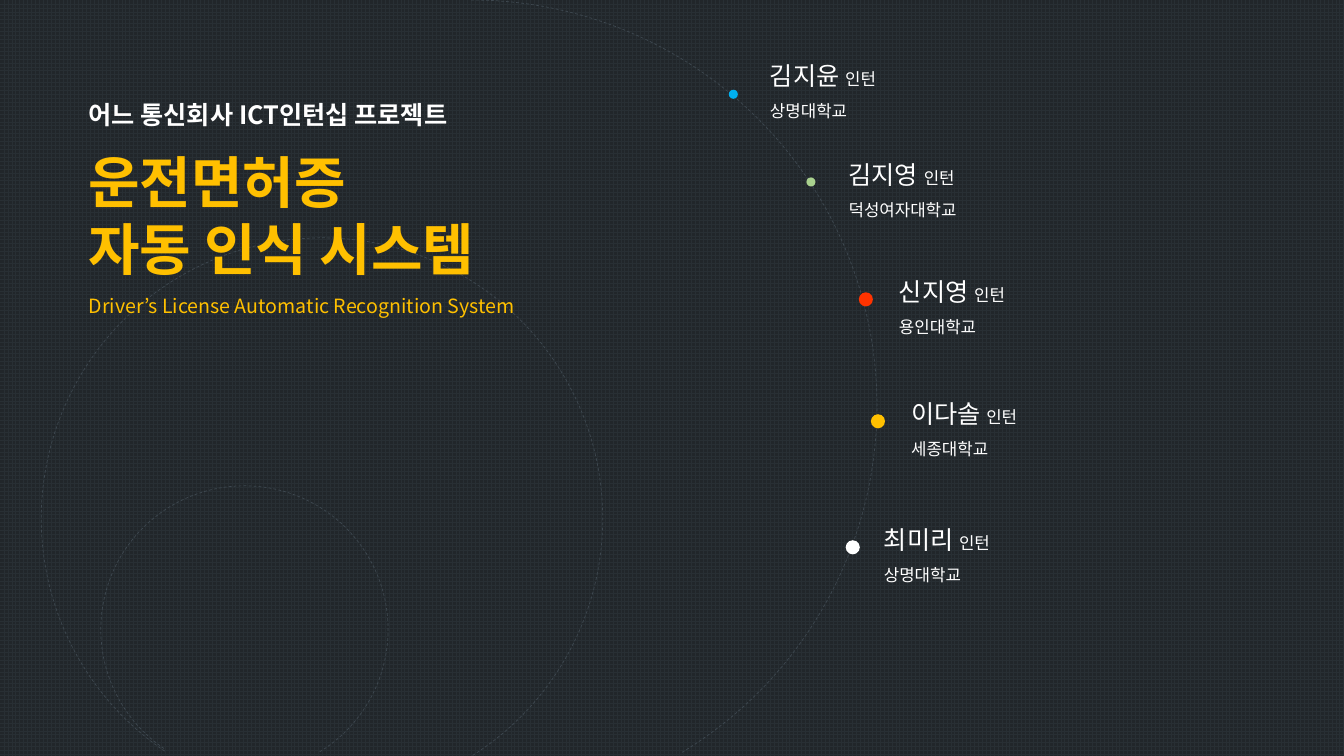
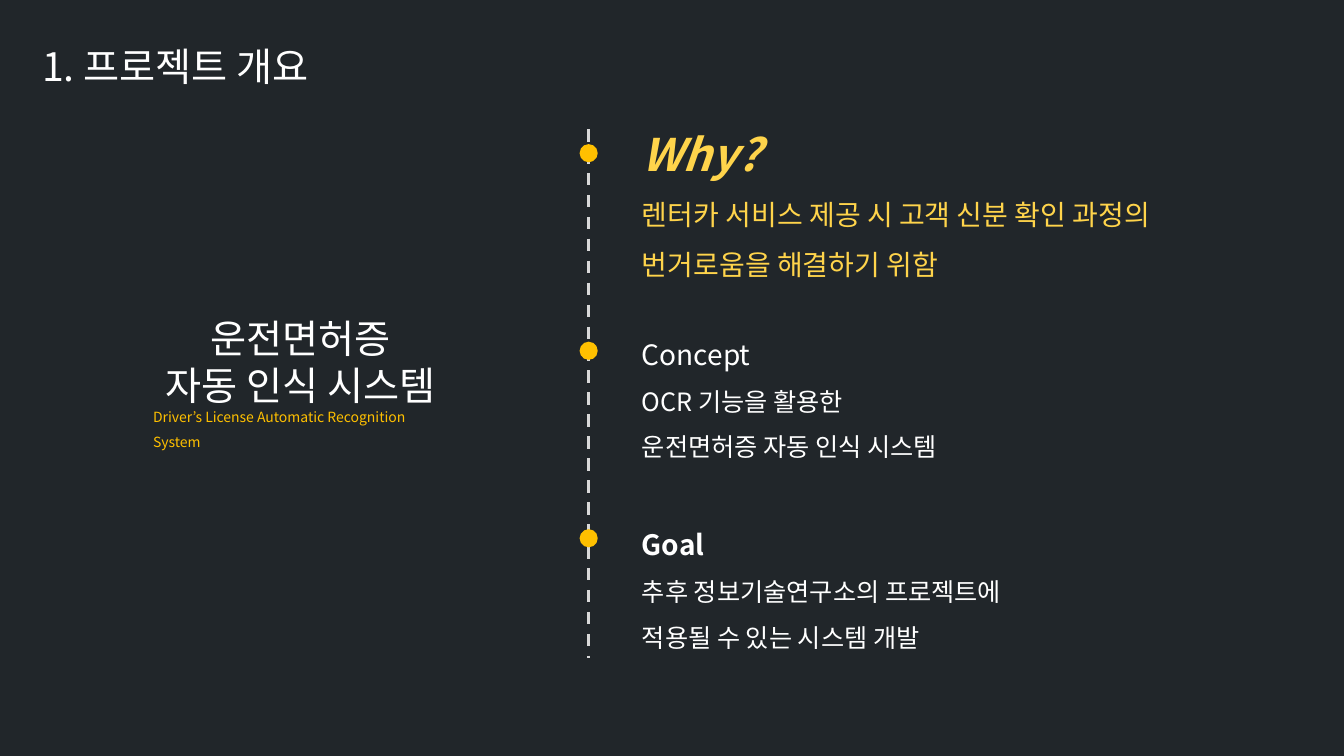
from dataclasses import dataclass

from pptx import Presentation
from pptx import util as u
from pptx.dml.color import RGBColor
from pptx.enum import dml, shapes, text
from pptx.oxml.ns import qn
from lxml import etree

# Grid of square cells covering the slide
COLUMNS, ROWS = 160, 90
CELL = u.Inches(7.5) / ROWS


@dataclass(frozen=True)
class Theme:
    font: str = "Noto Sans CJK KR"
    back: str = "21262A"
    grid: str = "282F34"
    orbit: str = "3E4850"
    axis: str = "D9D9D9"
    white: str = "FFFFFF"
    gold: str = "FFC000"
    pale_gold: str = "FFD44B"
    red: str = "FF3300"
    green: str = "A9D18E"
    blue: str = "00B0F0"
    title: float = 40
    why: float = 32
    heading: float = 28
    lead: float = 20
    body: float = 18
    gap: float = 16
    subtitle: float = 14
    small: float = 12
    caption: float = 10


THEME = Theme()


@dataclass
class Line:
    """One paragraph; extra holds (words, size) spans that follow the words."""
    words: str
    size: float
    color: str = THEME.white
    bold: bool = False
    italic: bool = False
    spacing: float = 1
    before: float = 0
    centred: bool = False
    extra: tuple = ()


def cells(*counts):
    return [u.Emu(round(count * CELL)) for count in counts]


def rgb(color):
    return RGBColor.from_string(color)


# Element builders
def add_page(deck, patterned=False):
    page = deck.slides.add_slide(deck.slide_layouts[6])
    fill = page.background.fill
    if patterned:
        fill.patterned()
        fill.pattern = dml.MSO_PATTERN.LARGE_GRID
        fill.fore_color.rgb = rgb(THEME.grid)
        fill.back_color.rgb = rgb(THEME.back)
    else:
        fill.solid()
        fill.fore_color.rgb = rgb(THEME.back)
    return page


def style_para(para, line):
    font = para.font
    font.size = u.Pt(line.size)
    font.bold, font.italic = line.bold, line.italic
    font.color.rgb = rgb(line.color)
    font.name = THEME.font
    # East Asian typeface for the Korean characters
    defaults = para._p.pPr.find(qn("a:defRPr"))
    etree.SubElement(defaults, qn("a:ea")).set("typeface", THEME.font)
    para.line_spacing = line.spacing
    para.space_before = u.Pt(line.before)
    if line.centred:
        para.alignment = text.PP_ALIGN.CENTER


def add_text(page, place, lines):
    box = page.shapes.add_textbox(*cells(*place))
    frame = box.text_frame
    frame.word_wrap = True
    frame.auto_size = text.MSO_AUTO_SIZE.SHAPE_TO_FIT_TEXT
    for index, line in enumerate(lines):
        para = frame.add_paragraph() if index else frame.paragraphs[0]
        para.text = line.words
        style_para(para, line)
        for words, size in line.extra:
            span = para.add_run()
            span.text = words
            span.font.size = u.Pt(size)


def add_dot(page, x, y, size, color):
    dot = page.shapes.add_shape(
        shapes.MSO_SHAPE.OVAL, *cells(x - size / 2, y - size / 2, size, size))
    dot.shadow.inherit = False
    dot.fill.solid()
    dot.fill.fore_color.rgb = rgb(color)
    dot.line.fill.background()


def style_line(line, color, width):
    line.color.rgb = rgb(color)
    line.width = u.Pt(width)
    line.dash_style = dml.MSO_LINE.DASH


def add_orbit(page, left, top, size, start):
    orbit = page.shapes.add_shape(
        shapes.MSO_SHAPE.ARC, *cells(left, top, size, size))
    orbit.shadow.inherit = False
    orbit.adjustments[0] = start
    orbit.adjustments[1] = 35.32
    orbit.fill.background()
    style_line(orbit.line, THEME.orbit, 0.5)


def add_axis(page, x, top, bottom):
    axis = page.shapes.add_connector(
        shapes.MSO_CONNECTOR.STRAIGHT, *cells(x, top, x, bottom))
    style_line(axis.line, THEME.axis, 2.25)
    etree.SubElement(axis._element.spPr, qn("a:effectLst"))


def add_member(page, name, school, left, top):
    add_text(page, (left, top, 38.28, 10.32), [
        Line(name + " ", THEME.body, spacing=1.5,
             extra=(("인턴", THEME.small),)),
        Line(school, THEME.small, spacing=1.5),
    ])


# Slides
def build_cover(deck):
    page = add_page(deck, patterned=True)
    for orbit in ((4.92, 28.32, 66.84, 74.44), (7.8, 0, 96.6, 162),
                  (12, 57.84, 34.2, 74.44)):
        add_orbit(page, *orbit)

    add_text(page, (9.36, 11.28, 64.56, 27.96), [
        Line("어느 통신회사 ICT인턴십 프로젝트", THEME.body, bold=True),
        Line("운전면허증", THEME.title, THEME.gold, bold=True, before=12.5),
        Line("자동 인식 시스템", THEME.title, THEME.gold, bold=True),
        Line("Driver’s License Automatic Recognition System",
             THEME.subtitle, THEME.gold, spacing=1.5),
    ])

    # Team members: name, school, text corner, dot centre, dot size, colour
    members = (
        ("김지윤", "상명대학교", (90.48, 4.8), (87.3, 11.22), 1.08, THEME.blue),
        ("김지영", "덕성여자대학교", (99.84, 16.56), (96.54, 21.66), 1.08,
         THEME.green),
        ("신지영", "용인대학교", (105.84, 30.48), (103.08, 35.64), 1.68,
         THEME.red),
        ("이다솔", "세종대학교", (107.28, 45), (104.52, 50.16), 1.68,
         THEME.gold),
        ("최미리", "상명대학교", (104.04, 60), (101.52, 65.16), 1.68,
         THEME.white),
    )
    for name, school, corner, centre, size, color in members:
        add_dot(page, *centre, size, color)
        add_member(page, name, school, *corner)


def build_overview(deck):
    page = add_page(deck)
    add_text(page, (3.84, 4.44, 43.68, 6.84),
             [Line("1. 프로젝트 개요", THEME.heading)])
    add_text(page, (17.04, 36.84, 37.44, 15.72), [
        Line("운전면허증", THEME.heading, centred=True),
        Line("자동 인식 시스템", THEME.heading, centred=True),
        Line("Driver’s License Automatic Recognition System",
             THEME.caption, THEME.gold, extra=((" ", THEME.gap),)),
    ])

    # Timeline: text top, width, height, dot row, lines
    axis_x, text_left = 70.08, 75.24
    steps = (
        (11.28, 72.24, 23.04, 18.24, [
            Line("Why?", THEME.why, THEME.pale_gold, True, True, 1.5),
            Line("렌터카 서비스 제공 시 고객 신분 확인 과정의", THEME.lead,
                 THEME.pale_gold, spacing=1.5),
            Line("번거로움을 해결하기 위함", THEME.lead, THEME.pale_gold,
                 spacing=1.5)]),
        (37.56, 50.76, 18.12, 41.76, [
            Line("Concept", THEME.lead, spacing=1.5),
            Line("OCR 기능을 활용한", THEME.body, spacing=1.5),
            Line("운전면허증 자동 인식 시스템", THEME.body, spacing=1.5)]),
        (60.24, 55.92, 18.12, 64.08, [
            Line("Goal", THEME.lead, bold=True, spacing=1.5),
            Line("추후 정보기술연구소의 프로젝트에\v적용될 수 있는 시스템 개발",
                 THEME.body, spacing=1.5)]),
    )
    add_axis(page, axis_x, 15.36, 78.36)
    for top, width, height, dot_row, lines in steps:
        add_text(page, (text_left, top, width, height), lines)
        add_dot(page, axis_x, dot_row, 2.16, THEME.gold)


def main():
    deck = Presentation()
    deck.slide_width, deck.slide_height = cells(COLUMNS, ROWS)
    build_cover(deck)
    build_overview(deck)
    deck.save("out.pptx")


main()
